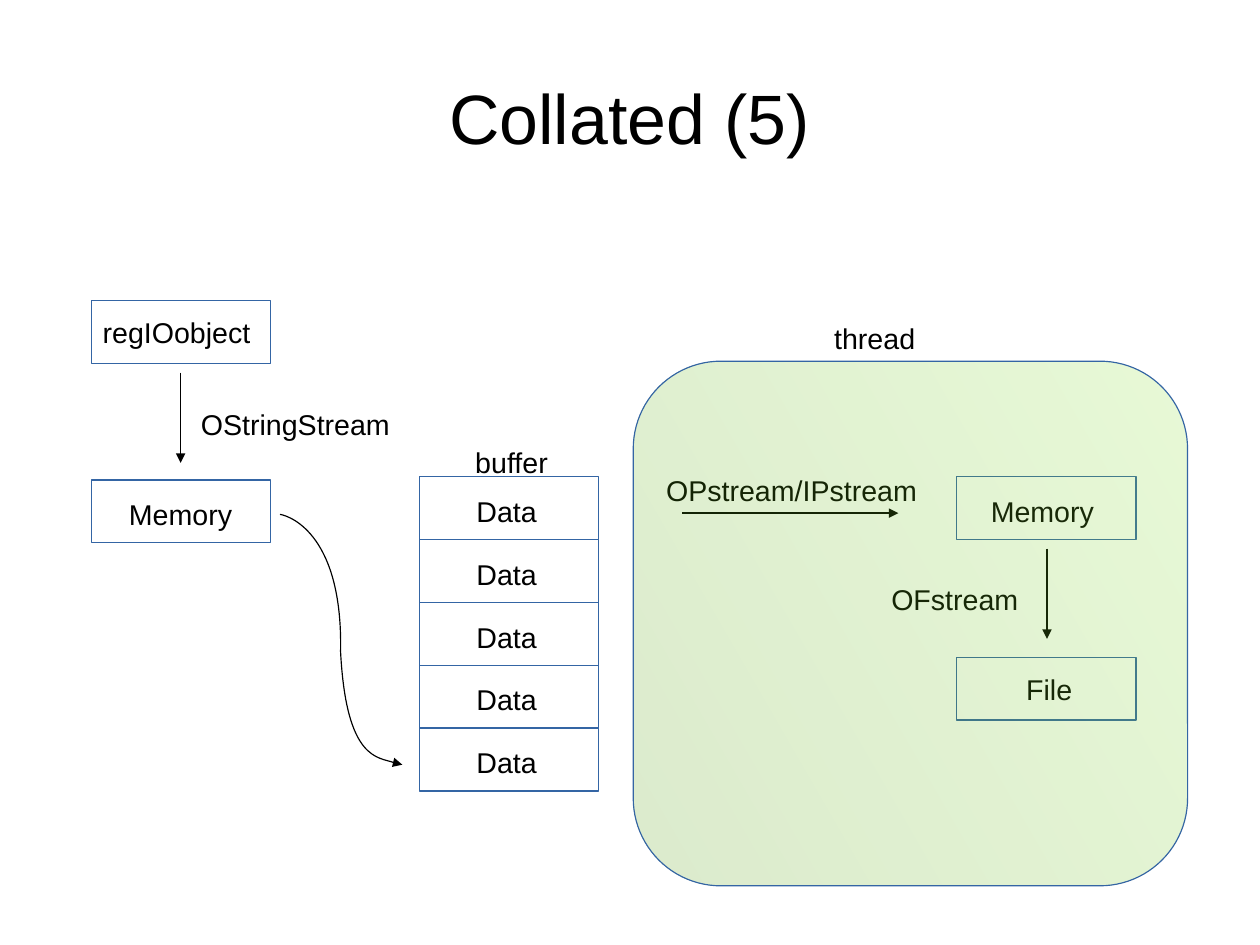
from lxml import etree
from pptx import Presentation
from pptx.dml.color import RGBColor
from pptx.enum.shapes import MSO_CONNECTOR, MSO_SHAPE
from pptx.enum.text import MSO_ANCHOR, MSO_AUTO_SIZE, PP_ALIGN
from pptx.oxml.ns import qn
from pptx.util import Inches, Pt

STRAIGHT = MSO_CONNECTOR.STRAIGHT
RECTANGLE = MSO_SHAPE.RECTANGLE
ROUNDED = MSO_SHAPE.ROUNDED_RECTANGLE
MIDDLE = MSO_ANCHOR.MIDDLE
FIT_SHAPE = MSO_AUTO_SIZE.SHAPE_TO_FIT_TEXT
LEFT, CENTER = PP_ALIGN.LEFT, PP_ALIGN.CENTER

BLACK, BLUE = "000000", "3465A4"
LIGHT_GREEN, DARK_GREEN = "8AE234", "4E9A06"
CM_PER_INCH = 2.54
NODE_WIDTH, NODE_HEIGHT, LABEL_HEIGHT = 1.57, 0.55, 0.38


def rgb(value):
    return RGBColor.from_string(value)


def write(frame, text, size=18, color=BLACK, align=LEFT):
    paragraph = frame.paragraphs[0]
    paragraph.alignment = align
    run = paragraph.add_run()
    run.text = text
    run.font.name = "Arial"
    run.font.size = Pt(size)
    run.font.color.rgb = rgb(color)


def set_line(shape, color, width=0):
    shape.line.color.rgb = rgb(color)
    shape.line.width = Pt(width)


def add_arrowhead(shape):
    line = shape.line._get_or_add_ln()
    etree.SubElement(line, qn("a:tailEnd"), type="triangle")


def add_title(slide, text):
    title = slide.shapes.title
    title.left, title.top = Inches(0.55), Inches(0.33)
    title.width, title.height = Inches(9.92), Inches(1.38)
    frame = title.text_frame
    frame.margin_left = frame.margin_right = 0
    frame.margin_top = frame.margin_bottom = 0
    frame.vertical_anchor = MIDDLE
    write(frame, text, size=44, align=CENTER)


def add_label(slide, text, left, top, width):
    label = slide.shapes.add_textbox(
        Inches(left), Inches(top), Inches(width), Inches(LABEL_HEIGHT))
    label.text_frame.word_wrap = False
    label.text_frame.auto_size = FIT_SHAPE
    write(label.text_frame, text)


def add_outline(slide, kind, left, top, width, height):
    outline = slide.shapes.add_shape(
        kind, Inches(left), Inches(top), Inches(width), Inches(height))
    outline.shadow.inherit = False
    outline.fill.background()
    set_line(outline, BLUE)
    return outline


def add_node(slide, text, left, top, label_left, label_width, label_drop=0.1):
    """Add a box and its label, label_drop below the top of the box."""
    add_outline(slide, RECTANGLE, left, top, NODE_WIDTH, NODE_HEIGHT)
    add_label(slide, text, label_left, top + label_drop, label_width)


def add_arrow(slide, start_x, start_y, end_x, end_y):
    arrow = slide.shapes.add_connector(
        STRAIGHT, Inches(start_x), Inches(start_y), Inches(end_x), Inches(end_y))
    set_line(arrow, BLACK, 1)
    add_arrowhead(arrow)
    etree.SubElement(arrow._element.spPr, qn("a:effectLst"))


def add_curved_arrow(slide, start, controls):
    """Draw Bezier segments; each takes three of the control points."""
    points = [(Inches(x), Inches(y)) for x, y in controls]
    builder = slide.shapes.build_freeform(Inches(start[0]), Inches(start[1]))
    builder.add_line_segments(points, close=False)
    curve = builder.convert_to_shape()
    curve.shadow.inherit = False
    curve.fill.background()
    set_line(curve, BLACK)
    add_arrowhead(curve)
    outline = next(curve._element.iter(qn("a:path")))
    steps = outline.findall(qn("a:lnTo"))
    for first in range(0, len(steps), 3):
        bezier = etree.SubElement(outline, qn("a:cubicBezTo"))
        for step in steps[first:first + 3]:
            bezier.append(step[0])
            outline.remove(step)


def add_thread_area(slide):
    area = add_outline(slide, ROUNDED, 5.54, 3.16, 4.85, 4.59)
    area.adjustments[0] = 0.167
    area.fill.gradient()
    area.fill.gradient_angle = 210
    for stop, color in zip(area.fill.gradient_stops, (LIGHT_GREEN, DARK_GREEN)):
        stop.color.rgb = rgb(color)
    gradient = area._element.spPr.find(qn("a:gradFill"))
    for color in gradient.iter(qn("a:srgbClr")):
        etree.SubElement(color, qn("a:alpha"), val="20000")


def main():
    deck = Presentation()
    deck.slide_width = Inches(28 / CM_PER_INCH)
    deck.slide_height = Inches(21 / CM_PER_INCH)
    slide = deck.slides.add_slide(deck.slide_layouts[5])
    add_title(slide, "Collated (5)")

    add_node(slide, "regIOobject", 0.8, 2.63, 0.8, 1.51, label_drop=0.08)
    add_node(slide, "Memory", 0.8, 4.2, 1.03, 1.12)
    add_arrow(slide, 1.58, 3.26, 1.58, 4.05)
    add_label(slide, "OStringStream", 1.66, 3.51, 1.87)

    add_node(slide, "Memory", 8.37, 4.17, 8.57, 1.12)
    add_node(slide, "File", 8.37, 5.75, 8.88, 0.62, label_drop=0.08)
    add_arrow(slide, 9.16, 4.8, 9.16, 5.59)
    add_label(slide, "OFstream", 7.7, 5.04, 1.33)
    add_arrow(slide, 5.97, 4.49, 7.86, 4.49)
    add_label(slide, "OPstream/IPstream", 5.73, 4.09, 2.42)

    for row in range(5):
        add_node(slide, "Data", 3.67, 4.17 + row * NODE_HEIGHT, 4.07, 0.93)
    add_curved_arrow(slide, (2.45, 4.5), [
        (2.56, 4.52), (3, 4.7), (2.98, 5.7),
        (3.03, 6.66), (3.52, 6.69), (3.52, 6.69)])

    add_thread_area(slide)
    add_label(slide, "thread", 7.2, 2.76, 0.93)
    add_label(slide, "buffer", 4.06, 3.84, 0.86)
    deck.save("out.pptx")


if __name__ == "__main__":
    main()
